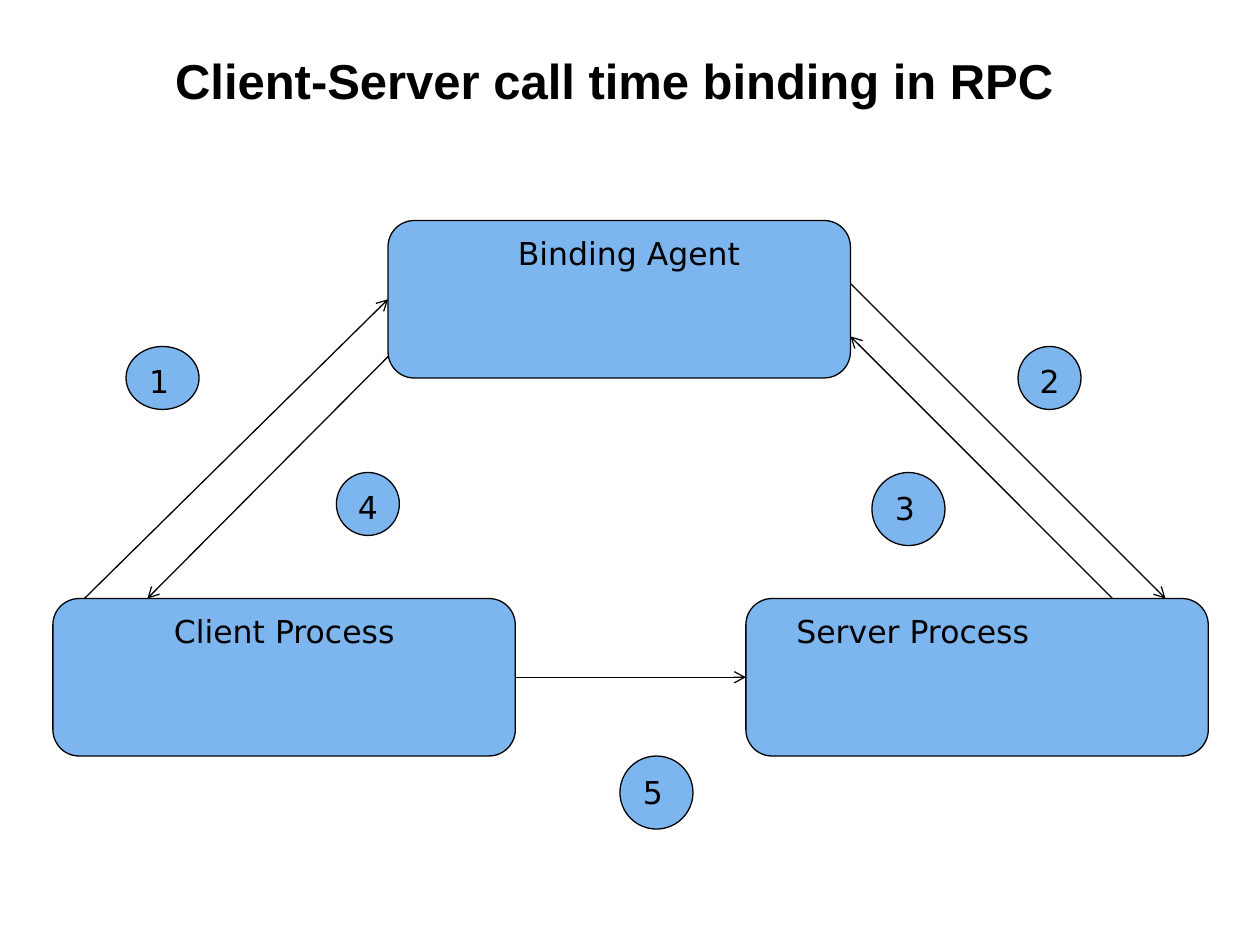
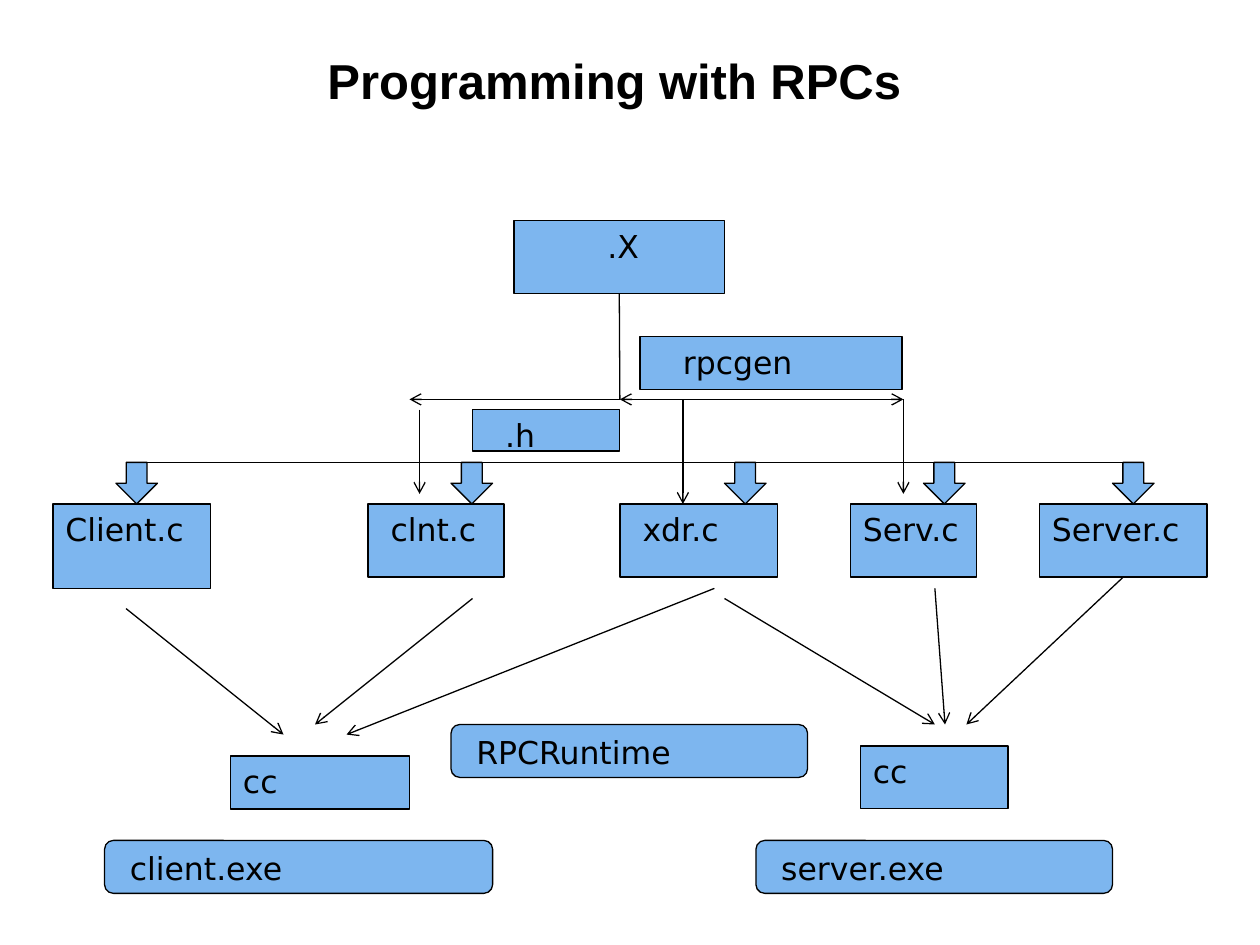
from dataclasses import dataclass

from lxml.etree import SubElement
from pptx import Presentation
from pptx.dml.color import RGBColor
from pptx.enum.shapes import MSO_CONNECTOR, MSO_SHAPE as Shape
from pptx.enum.text import MSO_ANCHOR, PP_ALIGN
from pptx.oxml.ns import qn
from pptx.util import Inches, Pt


@dataclass(frozen=True)
class Theme:
    """Colours, fonts and sizes shared by both slides."""
    fill: RGBColor = RGBColor(0x7D, 0xB6, 0xEF)
    ink: RGBColor = RGBColor(0, 0, 0)
    title_font: str = "Arial"
    body_font: str = "DejaVu Sans"
    title_size: Pt = Pt(28)
    body_size: Pt = Pt(18)
    line_width: Pt = Pt(0.75)


THEME = Theme()


def set_font(p, name, size, bold=False):
    """Apply one font to a whole paragraph."""
    p.font.name, p.font.size, p.font.bold = name, size, bold
    p.font.color.rgb = THEME.ink


def add_titled_slide(prs, title):
    """Add a blank slide with a centred title."""
    s = prs.slides.add_slide(prs.slide_layouts[6])
    tf = s.shapes.add_textbox(Inches(0.5), Inches(0.25), Inches(8.75), Inches(0.67)).text_frame
    tf.word_wrap = True
    tf.vertical_anchor = MSO_ANCHOR.BOTTOM
    p = tf.paragraphs[0]
    p.text = title
    p.alignment = PP_ALIGN.CENTER
    p.line_spacing = 0.9
    set_font(p, THEME.title_font, THEME.title_size, bold=True)
    return s


def add_node(s, kind, x, y, w, h, text="", indent=0):
    """Add a filled, outlined shape with an optional indented label."""
    sp = s.shapes.add_shape(kind, Inches(x), Inches(y), Inches(w), Inches(h))
    sp.shadow.inherit = False
    sp.fill.solid()
    sp.fill.fore_color.rgb = THEME.fill
    sp.line.color.rgb = THEME.ink
    sp.line.width = THEME.line_width
    if text:
        tf = sp.text_frame
        tf.vertical_anchor = MSO_ANCHOR.TOP
        tf.margin_left = Inches(0.1 + indent)
        p = tf.paragraphs[0]
        p.text = text
        p.alignment = PP_ALIGN.LEFT
        set_font(p, THEME.body_font, THEME.body_size)
    return sp


def add_link(s, start, end, arrow=True):
    """Draw a thin straight line, with an open arrowhead at its end by default."""
    c = s.shapes.add_connector(MSO_CONNECTOR.STRAIGHT, *map(Inches, (*start, *end)))
    c.line.color.rgb = THEME.ink
    c.line.width = THEME.line_width
    if arrow:
        SubElement(c.get_or_add_ln(), qn("a:tailEnd"), type="arrow")
    SubElement(c._element.spPr, qn("a:effectLst"))
    return c


def build_binding_slide(prs):
    """Show the five steps of call time binding."""
    s = add_titled_slide(prs, "Client-Server call time binding in RPC")
    agent, client, server = [
        add_node(s, Shape.ROUNDED_RECTANGLE, x, y, 3.67, 1.25, text, indent)
        for x, y, text, indent in (
            (3.08, 1.75, "Binding Agent", 0.87),
            (0.42, 4.75, "Client Process", 0.8),
            (5.92, 4.75, "Server Process", 0.24),
        )
    ]

    add_link(s, (0.67, 4.75), (3.08, 2.38)).end_connect(agent, 1)
    add_link(s, (3.08, 2.83), (1.17, 4.75))
    call = add_link(s, (4.08, 5.38), (5.92, 5.38))
    call.begin_connect(client, 3)
    call.end_connect(server, 1)
    add_link(s, (6.75, 2.25), (9.25, 4.75))
    add_link(s, (8.83, 4.75), (6.75, 2.67))

    for step, x, y, w, h in (
        ("1", 1, 2.75, 0.58, 0.5),
        ("4", 2.67, 3.75, 0.5, 0.5),
        ("3", 6.92, 3.75, 0.58, 0.58),
        ("2", 8.08, 2.75, 0.5, 0.5),
        ("5", 4.92, 6, 0.58, 0.58),
    ):
        add_node(s, Shape.OVAL, x, y, w, h, step)


def build_programming_slide(prs):
    """Show how rpcgen output is compiled into two programs."""
    s = add_titled_slide(prs, "Programming with RPCs")
    interface = add_node(s, Shape.RECTANGLE, 4.08, 1.75, 1.67, 0.58, ".X", 0.64)
    sources = {
        name: add_node(s, Shape.RECTANGLE, x, 4, w, h, name, indent)
        for name, x, w, h, indent in (
            ("Client.c", 0.42, 1.25, 0.67, 0),
            ("clnt.c", 2.92, 1.08, 0.58, 0.08),
            ("xdr.c", 4.92, 1.25, 0.58, 0.08),
            ("Serv.c", 6.75, 1, 0.58, 0),
            ("Server.c", 8.25, 1.33, 0.58, 0),
        )
    }

    branch_y, header_y = 3.17, 3.67
    add_link(s, (4.92, 2.33), (4.92, branch_y), arrow=False).begin_connect(interface, 2)
    for x1, x2 in ((5, 7.17), (5.08, 4.92), (4.92, 3.25)):
        add_link(s, (x1, branch_y), (x2, branch_y))
    for x, top, bottom in ((7.17, branch_y, 3.92), (5.42, branch_y, 4), (3.33, 3.25, 3.92)):
        add_link(s, (x, top), (x, bottom))

    for x in (0.92, 3.58, 5.75, 7.33, 8.83):
        add_node(s, Shape.DOWN_ARROW, x, header_y, 0.33, 0.33)
    add_link(s, (1.09, header_y), (9, header_y), arrow=False)

    for start, end in (
        ((1, 4.83), (2.25, 5.83)),
        ((3.75, 4.75), (2.5, 5.75)),
        ((5.67, 4.67), (2.75, 5.83)),
        ((5.75, 4.75), (7.42, 5.75)),
        ((7.42, 4.67), (7.5, 5.75)),
    ):
        add_link(s, start, end)
    add_link(s, (8.92, 4.58), (7.67, 5.75)).begin_connect(sources["Server.c"], 2)

    for text, x, y, w, h, indent in (
        ("rpcgen", 5.08, 2.67, 2.08, 0.42, 0.24),
        (".h", 3.75, 3.25, 1.17, 0.33, 0.16),
        ("cc", 1.83, 6, 1.42, 0.42, 0),
        ("cc", 6.83, 5.92, 1.17, 0.5, 0),
    ):
        add_node(s, Shape.RECTANGLE, x, y, w, h, text, indent)
    for text, x, y, w in (
        ("client.exe", 0.83, 6.67, 3.08),
        ("server.exe", 6, 6.67, 2.83),
        ("RPCRuntime", 3.58, 5.75, 2.83),
    ):
        add_node(s, Shape.ROUNDED_RECTANGLE, x, y, w, 0.42, text, 0.08)


def main():
    """Build and save the presentation."""
    prs = Presentation()
    prs.slide_width, prs.slide_height = Inches(10), Inches(7.5)
    build_binding_slide(prs)
    build_programming_slide(prs)
    prs.save("out.pptx")


if __name__ == "__main__":
    main()
